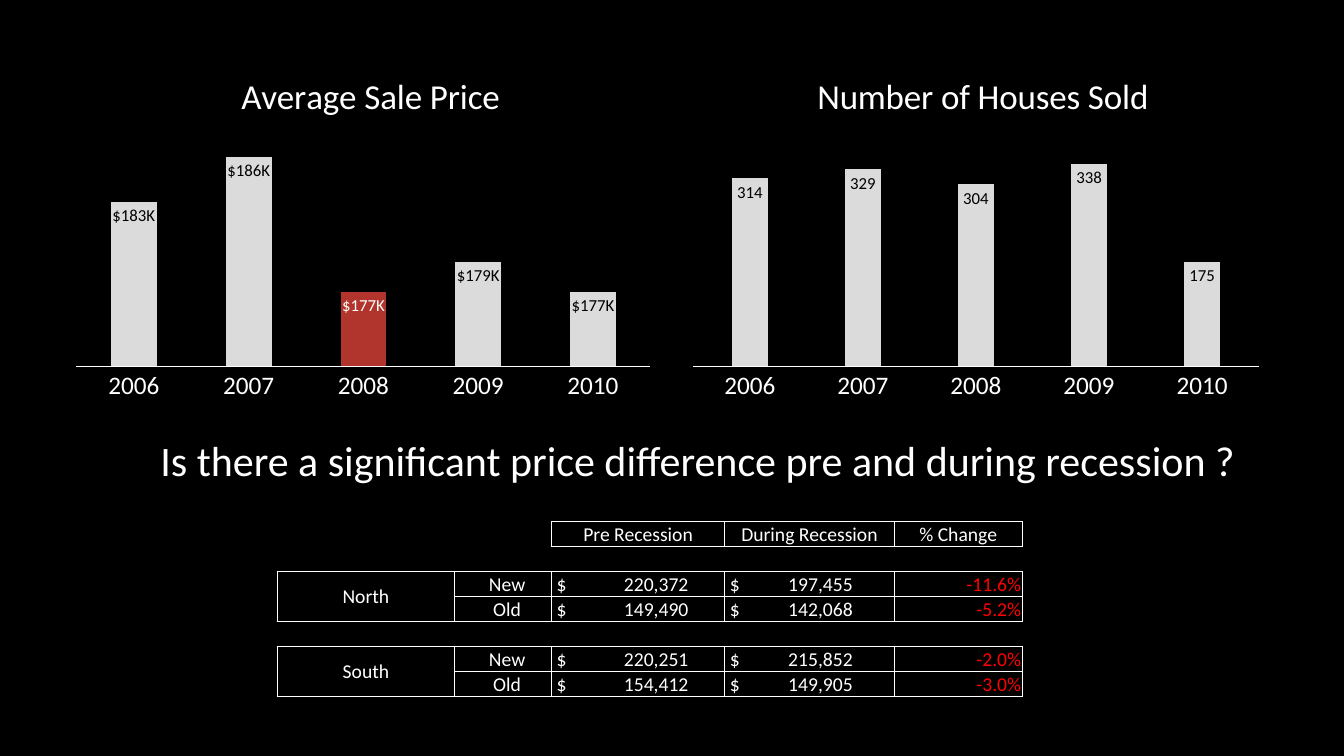
from lxml import etree
from pptx import Presentation
from pptx import util as u
from pptx.chart import data as chart_data
from pptx.dml import color
from pptx.enum import chart as charts, text
from pptx.oxml import ns, parse_xml

WHITE, BLACK, RED = "FFFFFF", "000000", "FF0000"
BAR, HIGHLIGHT = "DBDBDB", "B1352C"
YEARS = ["2006", "2007", "2008", "2009", "2010"]
PLAIN_TABLE = "{2D5ABB26-0587-4C30-8999-92F81FD0307C}"
ALIGN, ANCHOR = text.PP_ALIGN, text.MSO_ANCHOR


def rgb(value):
    """Turn a hex string into a colour."""
    return color.RGBColor.from_string(value)


def style(font, size, shade=WHITE):
    """Give a font its face, size and colour."""
    font.name = "Calibri"
    font.size = u.Pt(size)
    font.color.rgb = rgb(shade)


def write(frame, words, size, shade=WHITE, align=ALIGN.CENTER, spacing=None, tab=None):
    """Write one formatted paragraph into a text frame."""
    para = frame.paragraphs[0]
    para.alignment = align
    if spacing:
        para.line_spacing = spacing
    if tab:
        stops = etree.SubElement(para._p.get_or_add_pPr(), ns.qn("a:tabLst"))
        etree.SubElement(stops, ns.qn("a:tab"), pos=str(u.Inches(tab)), algn="r")
    span = para.add_run()
    span.text = words
    style(span.font, size, shade)


def place(element, **fractions):
    """Fix the position of a chart part as fractions of the chart."""
    for old in element.findall(ns.qn("c:layout")):
        element.remove(old)
    target = '<c:layoutTarget val="inner"/>' if "w" in fractions else ""
    modes = "".join(f'<c:{key}Mode val="edge"/>' for key in "xy")
    sizes = "".join(f'<c:{key} val="{value}"/>' for key, value in fractions.items())
    layout = parse_xml(f'<c:layout {ns.nsdecls("c")}><c:manualLayout>{target}{modes}{sizes}'
                       '</c:manualLayout></c:layout>')
    text_part = element.find(ns.qn("c:tx"))
    if text_part is None:
        element.insert(0, layout)
    else:
        text_part.addnext(layout)


def add_bars(page, box, title, values, number_format, limits, gap, title_left,
             overlap=0, highlight=None):
    """Draw a yearly column chart in the given box."""
    data = chart_data.CategoryChartData(number_format=number_format)
    data.categories = YEARS
    data.add_series(title, values)
    chart = page.shapes.add_chart(charts.XL_CHART_TYPE.COLUMN_CLUSTERED,
                                  *map(u.Inches, box), data).chart
    style(chart.font, 10)
    chart.has_legend = False
    chart.has_title = True
    write(chart.chart_title.text_frame, title, 25)
    chart.chart_title.text_frame.paragraphs[0].runs[0].font.bold = False
    place(chart.chart_title._element, x=title_left, y=0.06)
    place(chart._chartSpace.chart.plotArea, x=0.02, y=0.226, w=0.96, h=0.657)

    years, amounts = chart.category_axis, chart.value_axis
    years.major_tick_mark = charts.XL_TICK_MARK.NONE
    years.format.line.color.rgb = rgb(WHITE)
    years.format.line.width = u.Pt(0.75)
    style(years.tick_labels.font, 18)
    amounts.minimum_scale, amounts.maximum_scale = limits
    amounts.has_major_gridlines = False
    amounts.visible = False

    plot = chart.plots[0]
    plot.gap_width, plot.overlap = gap, overlap
    plot.vary_by_categories = False
    series = plot.series[0]
    series.format.fill.solid()
    series.format.fill.fore_color.rgb = rgb(BAR)
    labels = series.data_labels
    labels.show_value = True
    labels.number_format = number_format
    labels.number_format_is_linked = False
    labels.position = charts.XL_LABEL_POSITION.INSIDE_END
    style(labels.font, 12, BLACK)
    if highlight is not None:
        point = series.points[highlight]
        point.format.fill.solid()
        point.format.fill.fore_color.rgb = rgb(HIGHLIGHT)
        style(point.data_label.font, 12)
        point.data_label.position = charts.XL_LABEL_POSITION.INSIDE_END


def add_question(page, box):
    """Place the question between the charts and the table."""
    frame = page.shapes.add_textbox(*map(u.Inches, box)).text_frame
    frame.word_wrap = True
    frame.vertical_anchor = ANCHOR.MIDDLE
    write(frame, "Is there a significant price difference pre and during recession ?", 30,
          spacing=0.9)


def outline(cell):
    """Draw a thin white border on all sides of a cell."""
    for index, side in enumerate("LRTB"):
        cell._tc.get_or_add_tcPr().insert(index, parse_xml(
            f'<a:ln{side} {ns.nsdecls("a")} w="12700"><a:solidFill>'
            f'<a:srgbClr val="{WHITE}"/></a:solidFill></a:ln{side}>'))


def add_price_table(page, box):
    """Build the table of prices by region and house age."""
    widths = [1.76, 0.96, 1.72, 1.68, 1.27]
    gap = [""] * 5
    rows = [
        gap,
        ["", "", "Pre Recession", "During Recession", "% Change"],
        gap,
        ["North", "New", "$\t220,372", "$\t197,455", "-11.6%"],
        ["", "Old", "$\t149,490", "$\t142,068", "-5.2%"],
        gap,
        ["South", "New", "$\t220,251", "$\t215,852", "-2.0%"],
        ["", "Old", "$\t154,412", "$\t149,905", "-3.0%"],
    ]
    formats = [
        {},
        {},
        {"align": ALIGN.LEFT, "tab": 1.31},
        {"align": ALIGN.LEFT, "tab": 1.22},
        {"align": ALIGN.RIGHT, "shade": RED},
    ]
    left_margins = [0.01, 0.09, 0.05, 0.05, 0.01]
    frame = page.shapes.add_table(len(rows), len(widths), *map(u.Inches, box))
    table = frame.table
    table._tbl.tblPr.find(ns.qn("a:tableStyleId")).text = PLAIN_TABLE
    table.first_row = table.horz_banding = False
    for column, width in zip(table.columns, widths):
        column.width = u.Inches(width)
    for r, words in enumerate(rows):
        table.rows[r].height = u.Inches(box[3] / len(rows))
        is_data = bool(words[1])
        for c, word in enumerate(words):
            cell = table.cell(r, c)
            cell.margin_left = u.Inches(left_margins[c] if is_data else 0.01)
            cell.margin_right = cell.margin_top = u.Inches(0.01)
            cell.margin_bottom = 0
            cell.vertical_anchor = ANCHOR.BOTTOM if c else ANCHOR.MIDDLE
            cell.fill.solid()
            cell.fill.fore_color.rgb = rgb(BLACK)
            if word:
                write(cell.text_frame, word, 14, **(formats[c] if is_data else {}))
            else:
                etree.SubElement(cell.text_frame.paragraphs[0]._p,
                                 ns.qn("a:endParaRPr"), sz="1400")
            if word or is_data:
                outline(cell)
    for r in (3, 6):
        table.cell(r, 0).merge(table.cell(r + 1, 0))


def main():
    """Build the slide and save the deck."""
    deck = Presentation()
    deck.slide_width, deck.slide_height = u.Inches(13.33), u.Inches(7.5)
    page = deck.slides.add_slide(deck.slide_layouts[6])
    page.background.fill.solid()
    page.background.fill.fore_color.rgb = rgb(BLACK)
    add_bars(page, (0.64, 0.44, 5.93, 3.62), "Average Sale Price",
             [183000, 186000, 177000, 179000, 177000], '"$"#,##0,\\K',
             (172000, 188000), gap=150, title_left=0.285, highlight=2)
    add_bars(page, (6.76, 0.44, 5.84, 3.62), "Number of Houses Sold",
             [314, 329, 304, 338, 175], "General",
             (0, 400), gap=219, title_left=0.22, overlap=-27)
    add_question(page, (0.96, 4.27, 11.93, 0.64))
    add_price_table(page, (2.75, 4.93, 7.4, 1.98))
    deck.save("out.pptx")


if __name__ == "__main__":
    main()
